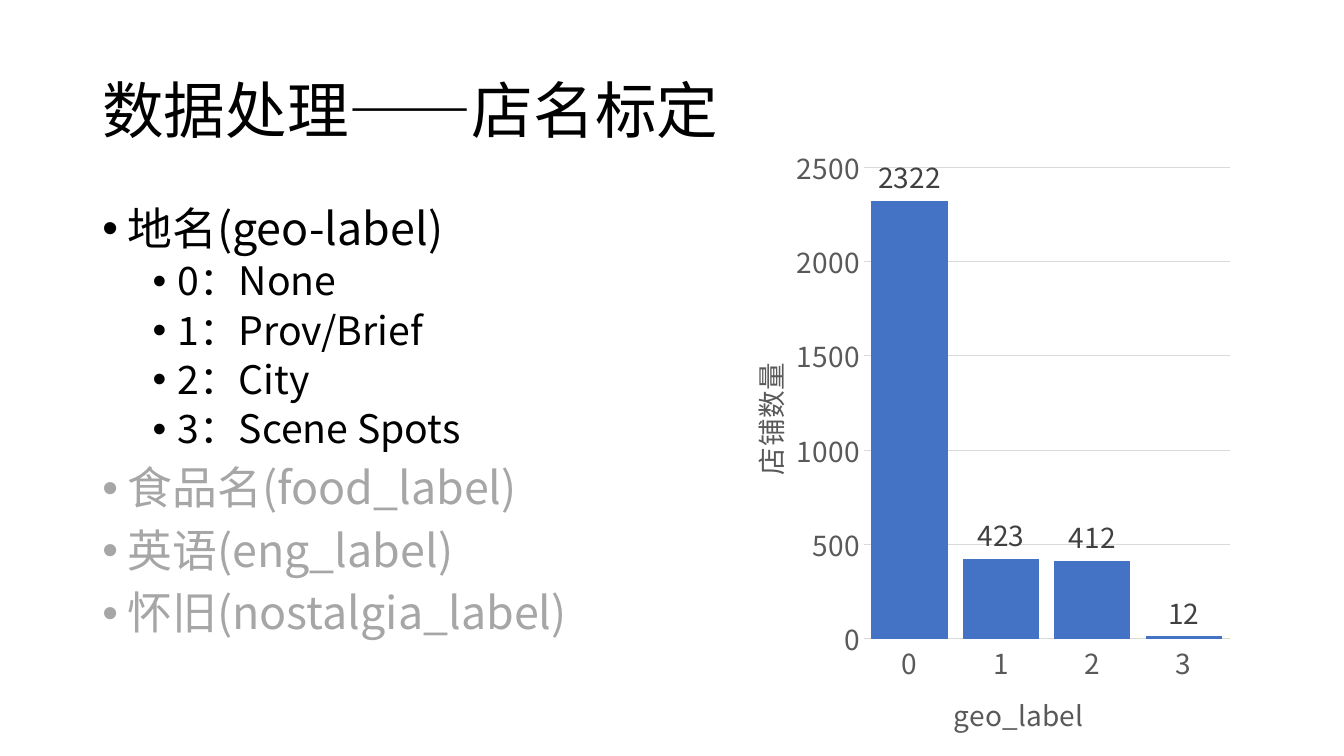
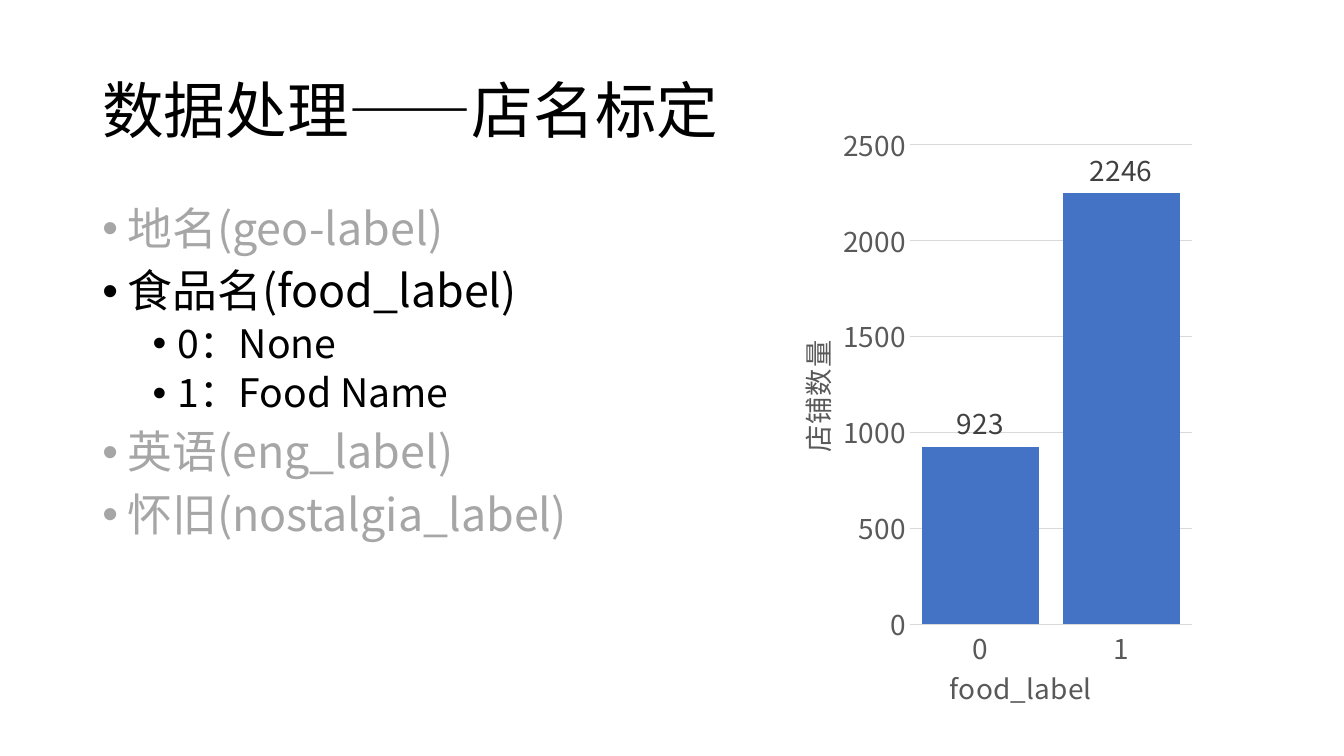
from lxml import etree
from pptx import Presentation
from pptx import util as u
from pptx.chart.data import CategoryChartData
from pptx.dml.color import RGBColor
from pptx.enum import chart as ch, text
from pptx.oxml.ns import qn

FONT = "Noto Sans CJK SC"
COLORS = {"ink": "000000", "muted": "A6A6A6", "axis": "595959",
          "grid": "D9D9D9", "bar": "4472C4", "value": "404040"}
HEADING = "数据处理——店名标定"
LABELS = ["地名(geo-label)", "食品名(food_label)",
          "英语(eng_label)", "怀旧(nostalgia_label)"]

# Each slide opens one label; chart box in grid cells, layouts as shares of the chart
SLIDES = [
    {"active": 0, "classes": ["None", "Prov/Brief", "City", "Scene Spots"],
     "counts": [2322, 423, 412, 12], "axis": "geo_label",
     "box": (85.8, 16.4, 63.1, 72.1), "plot": (0.27, 0.05, 0.69, 0.79),
     "x_title": (0.43, 0.92), "y_title": (0.04, 0.37)},
    {"active": 1, "classes": ["None", "Food Name"],
     "counts": [923, 2246], "axis": "food_label",
     "box": (91.3, 13.7, 51.6, 71.5), "plot": (0.33, 0.05, 0.65, 0.82),
     "x_title": (0.41, 0.93), "y_title": (0.05, 0.38)},
]

# Grid of 160 columns by 90 rows
prs = Presentation()
prs.slide_width, prs.slide_height = u.Inches(13.333), u.Inches(7.5)
CELL = prs.slide_width / 160
TITLE_BOX = (11, 4.8, 138, 17.4)
BODY_BOX = (11, 24, 138, 57.1)


def style(font, size, color):
    font.name, font.size, font.bold = FONT, u.Pt(size), False
    font.color.rgb = RGBColor.from_string(COLORS[color])


def set_layout(parent, index, shares):
    """Fix the place (x, y) or the place and size (x, y, w, h) of a chart part."""
    for old in parent.findall(qn("c:layout")):
        parent.remove(old)
    layout = etree.Element(qn("c:layout"))
    manual = etree.SubElement(layout, qn("c:manualLayout"))
    if len(shares) == 4:
        etree.SubElement(manual, qn("c:layoutTarget")).set("val", "inner")
    for mode in ("xMode", "yMode"):
        etree.SubElement(manual, qn("c:" + mode)).set("val", "edge")
    for side, share in zip("xywh", shares):
        etree.SubElement(manual, qn("c:" + side)).set("val", str(share))
    parent.insert(index, layout)


for page in SLIDES:
    slide = prs.slides.add_slide(prs.slide_layouts[6])

    # Title and body frames
    frames = []
    for box in (TITLE_BOX, BODY_BOX):
        frame = slide.shapes.add_textbox(*(round(n * CELL) for n in box)).text_frame
        frame.word_wrap = True
        frames.append(frame)
    title, body = frames
    title.vertical_anchor = text.MSO_ANCHOR.MIDDLE
    heading = title.paragraphs[0]
    heading.text, heading.line_spacing = HEADING, 0.9
    style(heading.font, 44, "ink")

    # Label list, with the classes under the active label
    items = []
    for i, label in enumerate(LABELS):
        active = i == page["active"]
        items.append((label, 0, "ink" if active else "muted"))
        if active:
            items += [(f"{n}：{name}", 1, "ink") for n, name in enumerate(page["classes"])]
    for i, (words, level, color) in enumerate(items):
        item = body.add_paragraph() if i else body.paragraphs[0]
        item.text, item.level, item.line_spacing = words, level, 0.9
        item.space_before = u.Pt((10, 5)[level] if i else 0)
        props = item._p.get_or_add_pPr()
        props.set("marL", str(u.Inches(0.25 + 0.5 * level)))
        props.set("indent", str(u.Inches(-0.25)))
        bullet_color = etree.SubElement(props, qn("a:buClr"))
        etree.SubElement(bullet_color, qn("a:srgbClr")).set("val", COLORS[color])
        etree.SubElement(props, qn("a:buFont")).set("typeface", "Arial")
        etree.SubElement(props, qn("a:buChar")).set("char", "•")
        style(item.font, (32, 28)[level], color)

    # Shop counts per class
    data = CategoryChartData()
    data.categories = [str(n) for n in range(len(page["counts"]))]
    data.add_series("Series 1", page["counts"])
    chart = slide.shapes.add_chart(
        ch.XL_CHART_TYPE.COLUMN_CLUSTERED,
        *(round(n * CELL) for n in page["box"]), data).chart
    chart.has_legend = chart.has_title = False
    style(chart.font, 20, "ink")
    set_layout(chart.element.find(".//" + qn("c:plotArea")), 0, page["plot"])

    # Columns and their values
    plot = chart.plots[0]
    plot.gap_width, plot.overlap, plot.vary_by_categories = 20, -27, False
    bars = plot.series[0].format.fill
    bars.solid()
    bars.fore_color.rgb = RGBColor.from_string(COLORS["bar"])
    plot.has_data_labels = True
    values = plot.data_labels
    values.show_value = True
    values.position = ch.XL_LABEL_POSITION.OUTSIDE_END
    style(values.font, 20, "value")

    # Axes
    classes, counts = chart.category_axis, chart.value_axis
    for axis, name, place in ((classes, page["axis"], page["x_title"]),
                              (counts, "店铺数量", page["y_title"])):
        axis.major_tick_mark = axis.minor_tick_mark = ch.XL_TICK_MARK.NONE
        style(axis.tick_labels.font, 20, "axis")
        axis_name = axis.axis_title.text_frame.paragraphs[0]
        axis_name.text = name
        style(axis_name.font, 20, "axis")
        set_layout(axis.axis_title.element, 1, place)
    counts.minimum_scale, counts.maximum_scale, counts.major_unit = 0, 2500, 500
    counts.format.line.fill.background()
    for line in (classes.format.line, counts.major_gridlines.format.line):
        line.color.rgb = RGBColor.from_string(COLORS["grid"])
        line.width = u.Pt(0.75)

    # The same font for Chinese characters
    for root in (slide.element, chart.element):
        for latin in list(root.iter(qn("a:latin"))):
            east_asian = etree.Element(qn("a:ea"))
            east_asian.set("typeface", FONT)
            latin.addnext(east_asian)

prs.save("out.pptx")
